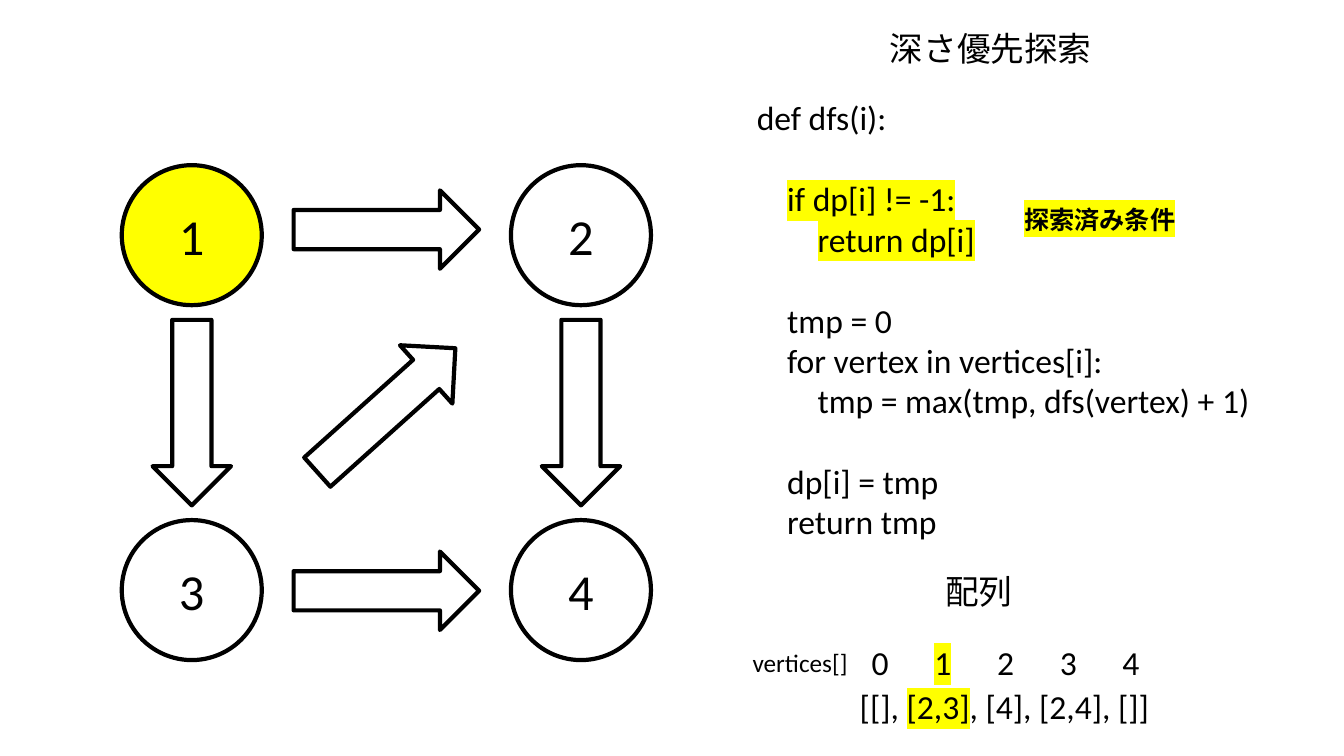
import pptx
import pptx.dml.color
import pptx.enum.shapes
import pptx.enum.text
import pptx.oxml
import pptx.util

Pt = pptx.util.Pt
Shape = pptx.enum.shapes.MSO_SHAPE
Align = pptx.enum.text.PP_ALIGN
Anchor = pptx.enum.text.MSO_ANCHOR
YELLOW, BLACK = "FFFF00", "000000"


def color(value):
    return pptx.dml.color.RGBColor.from_string(value)


class Sketch:
    """Draws the graph, code and array parts on one page in a shared style."""

    font = "Calibri"
    size = 24
    line_height = 29
    indent = 21.7

    def __init__(self, page):
        self.page = page

    def span(self, para, text, size=None, bold=False, marked=False):
        span = para.add_run()
        span.text = text
        span.font.name = self.font
        span.font.size = Pt(size or self.size)
        span.font.bold = bold
        span.font.color.rgb = color(BLACK)
        if marked:
            highlight = pptx.oxml.parse_xml(
                '<a:highlight xmlns:a="http://schemas.openxmlformats.org/drawingml/2006/main">'
                f'<a:srgbClr val="{YELLOW}"/></a:highlight>')
            span.font.fill._xPr.solidFill.addnext(highlight)

    def title(self, text, left, top, width, height):
        box = self.page.shapes.title
        box.left, box.top, box.width, box.height = map(Pt, (left, top, width, height))
        box.text_frame.auto_size = pptx.enum.text.MSO_AUTO_SIZE.NONE
        box.text_frame.word_wrap = False
        box.text_frame.vertical_anchor = Anchor.TOP
        para = box.text_frame.paragraphs[0]
        para.alignment = Align.LEFT
        self.span(para, text)

    def frame(self, left, top, width, height):
        box = self.page.shapes.add_textbox(*map(Pt, (left, top, width, height)))
        box.text_frame.word_wrap = False
        return box.text_frame

    def label(self, spans, left, top, width, height=36, size=None, bold=False):
        para = self.frame(left, top, width, height).paragraphs[0]
        for text, marked in spans:
            self.span(para, text, size, bold, marked)

    def code(self, lines, left, top, width, height):
        frame = self.frame(left, top, width, height)
        for number, (level, gap, text, marked) in enumerate(lines):
            para = frame.add_paragraph() if number else frame.paragraphs[0]
            para.space_before = Pt(gap * self.line_height)
            para._p.get_or_add_pPr().set("marL", str(Pt(level * self.indent)))
            self.span(para, text, marked=marked)

    def outline(self, kind, center_x, center_y, width, height, fill=None):
        shape = self.page.shapes.add_shape(
            kind, Pt(center_x - width / 2), Pt(center_y - height / 2), Pt(width), Pt(height))
        shape.shadow.inherit = False
        if fill:
            shape.fill.solid()
            shape.fill.fore_color.rgb = color(fill)
        else:
            shape.fill.background()
        shape.line.color.rgb = color(BLACK)
        shape.line.width = Pt(3)
        return shape

    def node(self, text, center_x, center_y, fill=None):
        shape = self.outline(Shape.OVAL, center_x, center_y, 100, 100, fill)
        shape.text_frame.vertical_anchor = Anchor.MIDDLE
        para = shape.text_frame.paragraphs[0]
        para.alignment = Align.CENTER
        self.span(para, text, 36)

    def arrow(self, center_x, center_y, angle=0):
        self.outline(Shape.RIGHT_ARROW, center_x, center_y, 132.5, 56).rotation = angle


def main():
    deck = pptx.Presentation()
    deck.slide_width, deck.slide_height = Pt(960), Pt(540)
    sketch = Sketch(deck.slides.add_slide(deck.slide_layouts[5]))
    sketch.title("深さ優先探索", 628.5, 16.5, 160, 36)

    columns, rows = (137, 415), (168, 421.5)
    middle_x, middle_y = sum(columns) / 2, sum(rows) / 2
    for index in range(4):
        sketch.node(str(index + 1), columns[index % 2], rows[index // 2],
                    None if index else YELLOW)
    for center_y in (164, 422):
        sketch.arrow(middle_x, center_y)
    for center_x in columns:
        sketch.arrow(center_x, middle_y, 90)
    sketch.arrow(middle_x, 293, 318.1)

    sketch.code([
        (0, 0, "def dfs(i):", False),
        (1, 1, "if dp[i] != -1:", True),
        (2, 0, "return dp[i]", True),
        (1, 1, "tmp = 0", False),
        (1, 0, "for vertex in vertices[i]:", False),
        (2, 0, "tmp = max(tmp, dfs(vertex) + 1)", False),
        (1, 1, "dp[i] = tmp", False),
        (1, 0, "return tmp", False),
    ], 533.5, 66, 369.5, 327)
    sketch.label([("探索済み条件", True)], 724.5, 142.5, 124, 29, size=18, bold=True)

    sketch.label([("配列", False)], 668, 404.5, 63.5)
    sketch.label([("vertices[]", False)], 530.5, 458.5, 83, 29, size=18)
    for index in range(5):
        sketch.label([(str(index), index == 1)], 615.5 + 44.8 * index, 455, 26.5)
    sketch.label([("[[], ", False), ("[2,3]", True), (", [4], [2,4], []]", False)],
                 607, 486.5, 223)

    deck.save("out.pptx")


if __name__ == "__main__":
    main()
